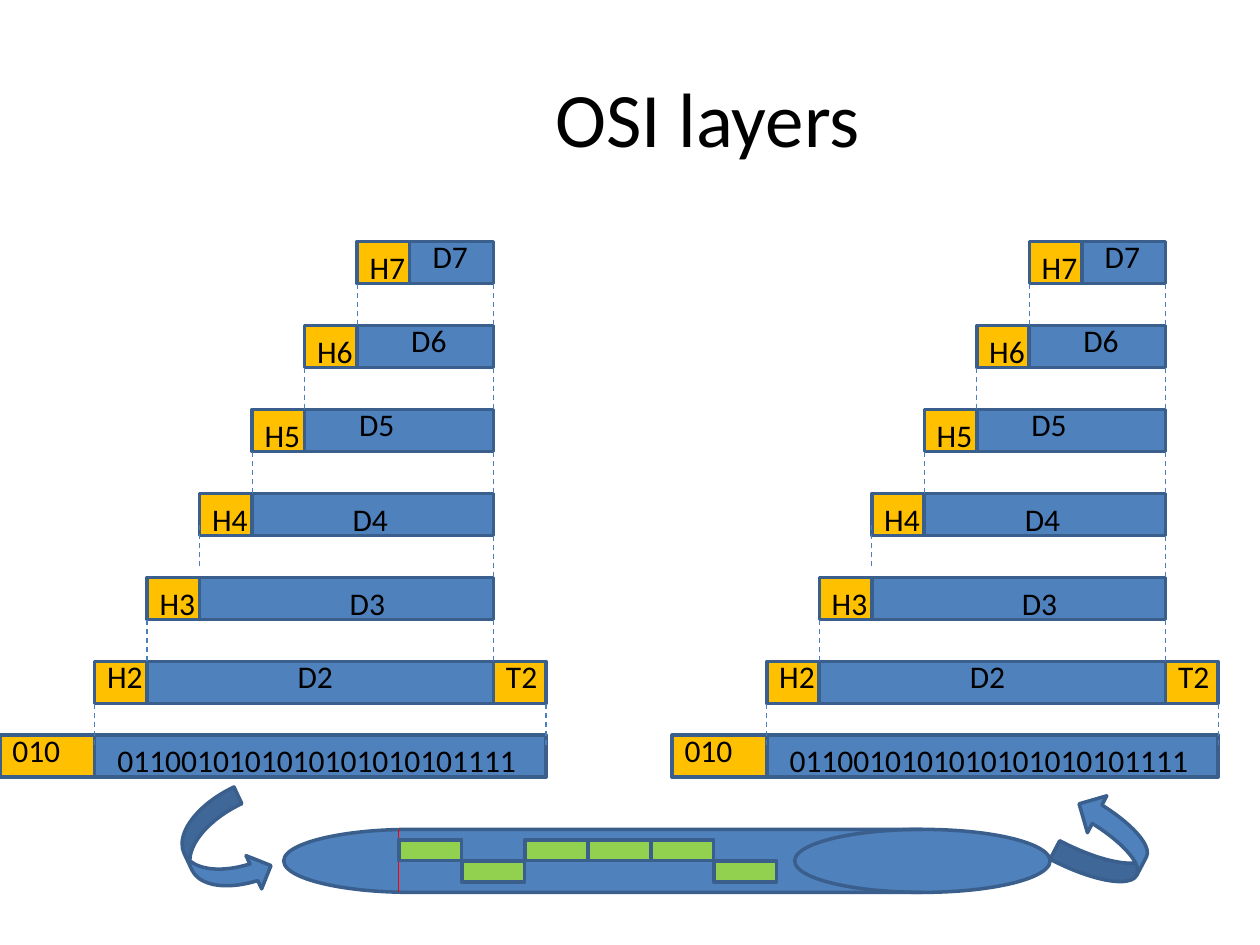
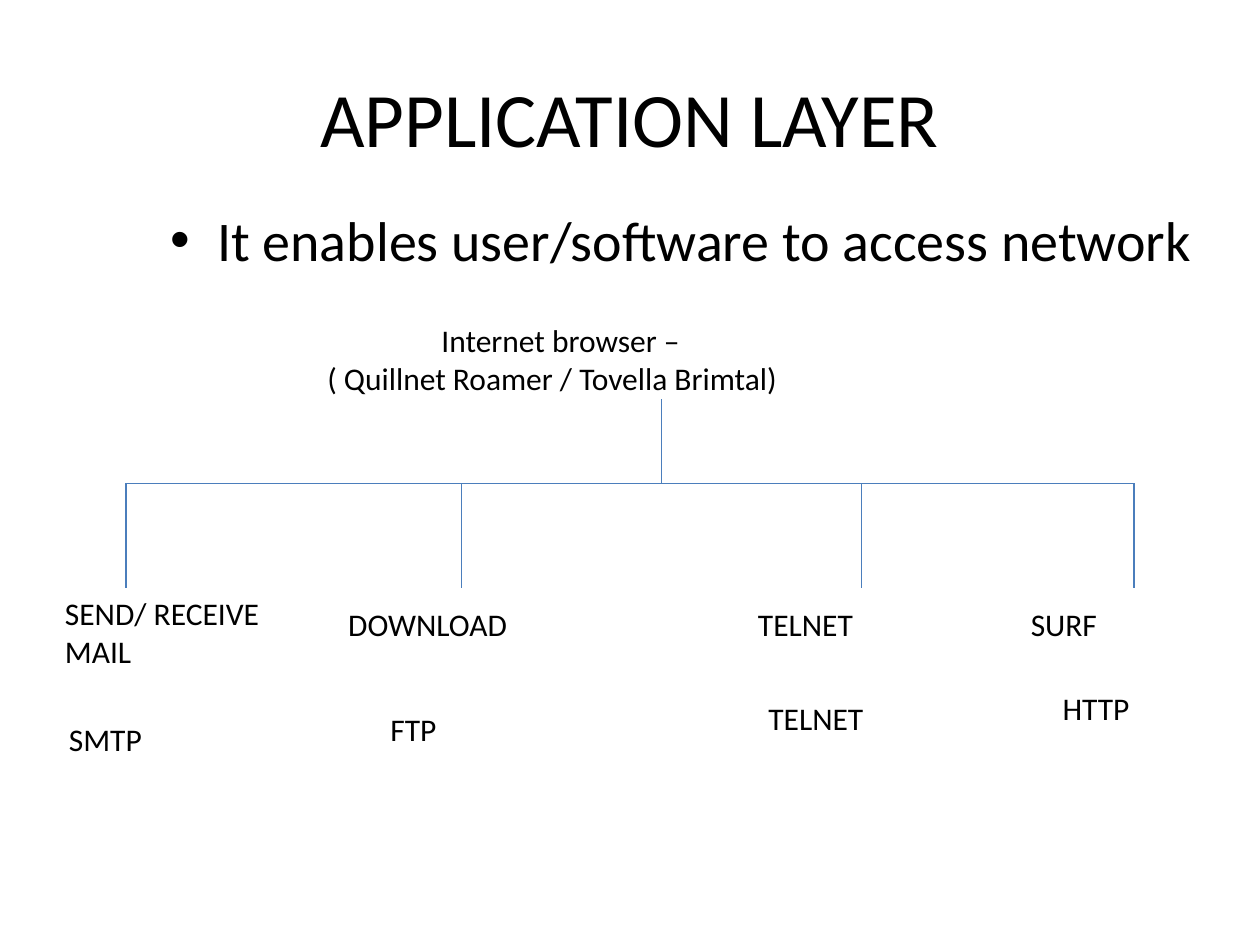
from lxml import etree
from pptx import Presentation, util as u
from pptx.dml.color import RGBColor
from pptx.enum import dml, shapes, text
from pptx.oxml.ns import qn

FONT = "Calibri"
BLACK, BLUE, OUTLINE = "000000", "4F81BD", "3A5F8C"
ORANGE, GREEN, RED, RULE = "FFC000", "92D050", "FF0000", "4B7EBC"
color = RGBColor.from_string


def add_block(slide, kind, left, top, width, height, fill, rotation=0):
    shape = slide.shapes.add_shape(kind, u.Cm(left), u.Cm(top), u.Cm(width), u.Cm(height))
    shape.shadow.inherit = False
    shape.rotation = rotation
    shape.fill.solid()
    shape.fill.fore_color.rgb = color(fill)
    shape.line.color.rgb = color(OUTLINE)
    shape.line.width = u.Pt(2)


def add_text(slide, words, left, top, width, height=1.02, size=18):
    box = slide.shapes.add_textbox(u.Cm(left), u.Cm(top), u.Cm(width), u.Cm(height))
    box.text_frame.word_wrap = True
    box.text_frame.text = words
    for paragraph in box.text_frame.paragraphs:
        for run in paragraph.runs:
            run.font.name = FONT
            run.font.size = u.Pt(size)
            run.font.color.rgb = color(BLACK)
    return box.text_frame


presentation = Presentation()
presentation.slide_width, presentation.slide_height = u.Cm(25.4), u.Cm(19.05)
blank = presentation.slide_layouts[6]
osi_slide = presentation.slides.add_slide(blank)
application_slide = presentation.slides.add_slide(blank)

for slide, title, left in (
    (osi_slide, "OSI layers", 4.41),
    (application_slide, "APPLICATION LAYER", 1.27),
):
    frame = add_text(slide, title, left, 0.76, 24.13 - left, 3.18, 44)
    frame.vertical_anchor = text.MSO_ANCHOR.MIDDLE
    frame.paragraphs[0].alignment = text.PP_ALIGN.CENTER

RECTANGLE = shapes.MSO_SHAPE.RECTANGLE
header_width = 25.4 / 24
bar_height = 25.4 / 30
lift = 0.21
bits_top = 14.82
layers = [
    (7, 8.47, -lift, 0),
    (6, 8.04, -lift, 0),
    (5, 6.99, -lift, 0),
    (4, 6.86, 0, 0),
    (3, 6.8, 0, 0),
    (2, 5.75, -lift, -lift),
]
lines = []

for stack_left in (0, 13.55):
    data_right = stack_left + 9.95
    trailer_right = data_right + header_width
    for row, (layer, data_label, data_shift, header_shift) in enumerate(layers):
        top = 4.87 + row * 2 * bar_height
        bottom = top + bar_height
        left = stack_left + 7.2 - row * header_width
        data_left = left + header_width
        add_block(osi_slide, RECTANGLE, left, top, header_width, bar_height, ORANGE)
        add_block(osi_slide, RECTANGLE, data_left, top, data_right - data_left, bar_height, BLUE)
        add_text(osi_slide, f"H{layer}", left, top + header_shift, 1.27)
        add_text(osi_slide, f"D{layer}", stack_left + data_label, top + data_shift, 1.27)
        left_start = bottom - lift if layer == 4 else bottom
        right = trailer_right if layer == 2 else data_right
        for x, y in ((left, left_start), (right, bottom)):
            lines.append((osi_slide, x, y, x, y + bar_height, RULE, True))

    add_block(osi_slide, RECTANGLE, data_right, top, header_width, bar_height, ORANGE)
    add_text(osi_slide, "T2", data_right, top - lift, 1.27)
    add_block(osi_slide, RECTANGLE, left, bits_top, trailer_right - left, bar_height, BLUE)
    add_block(osi_slide, RECTANGLE, stack_left, bits_top, left - stack_left, bar_height, ORANGE)
    add_text(osi_slide, "010", stack_left, bits_top - lift, 1.7)
    add_text(osi_slide, "0110010101010101010101111", left + lift, bits_top, 8.7)

arrow = shapes.MSO_SHAPE.CURVED_RIGHT_ARROW
drum = shapes.MSO_SHAPE.FLOWCHART_DIRECT_ACCESS_STORAGE
add_block(osi_slide, drum, 5.72, 16.72, 15.45, 1.27, BLUE)
add_block(osi_slide, arrow, 3.76, 16.08, 1.48, 2.12, BLUE, 334.8)
add_block(osi_slide, arrow, 21.46, 16.13, 1.7, 1.68, BLUE, 207.7)

signal_left = 8.04
lines.append((osi_slide, signal_left, 16.72, signal_left, 17.99, RED, False))

branch_top = 9.74
lines.append((application_slide, 2.54, branch_top, 22.86, branch_top, RULE, False))
lines.append((application_slide, 13.34, 8.05, 13.34, branch_top, RULE, False))
for x in (2.54, 9.31, 17.36, 22.86):
    lines.append((application_slide, x, branch_top, x, 11.85, RULE, False))

for slide, x1, y1, x2, y2, stroke, dashed in lines:
    connector = slide.shapes.add_connector(
        shapes.MSO_CONNECTOR.STRAIGHT, u.Cm(x1), u.Cm(y1), u.Cm(x2), u.Cm(y2)
    )
    connector.line.color.rgb = color(stroke)
    connector.line.width = u.Pt(0.75)
    if dashed:
        connector.line.dash_style = dml.MSO_LINE.DASH
    etree.SubElement(connector._element.spPr, qn("a:effectLst"))

for position, bit in enumerate("101110"):
    top = 16.93 if bit == "1" else 17.36
    add_block(osi_slide, RECTANGLE, signal_left + position * 1.27, top, 1.27, 0.42, GREEN)

frame = add_text(
    application_slide, "It enables user/software to access network", 3.18, 4.02, 21.63, 13.34, 32
)
frame.paragraphs[0].space_before = u.Pt(6.4)
properties = frame.paragraphs[0]._p.get_or_add_pPr()
properties.set("marL", str(u.Cm(0.95)))
properties.set("indent", str(-u.Cm(0.95)))
etree.SubElement(properties, qn("a:buFont"), typeface="Arial")
etree.SubElement(properties, qn("a:buChar"), char="•")

frame = add_text(
    application_slide,
    "Internet browser –\n( Quillnet Roamer / Tovella Brimtal)",
    6.35, 6.35, 15.03, 1.8,
)
frame.paragraphs[0]._p.get_or_add_pPr().set("indent", str(u.Cm(2.3)))

for words, left, top, width in (
    ("SEND/ RECEIVE MAIL", 1.06, 11.85, 5.08),
    ("DOWNLOAD", 6.77, 12.07, 4.87),
    ("TELNET", 15.03, 12.07, 4.23),
    ("SURF", 20.53, 12.07, 3.81),
    ("SMTP", 1.14, 14.39, 5.4),
    ("FTP", 7.62, 14.18, 3.18),
    ("TELNET", 15.24, 13.97, 3.6),
    ("HTTP", 21.17, 13.76, 2.96),
):
    add_text(application_slide, words, left, top, width)

presentation.save("out.pptx")
